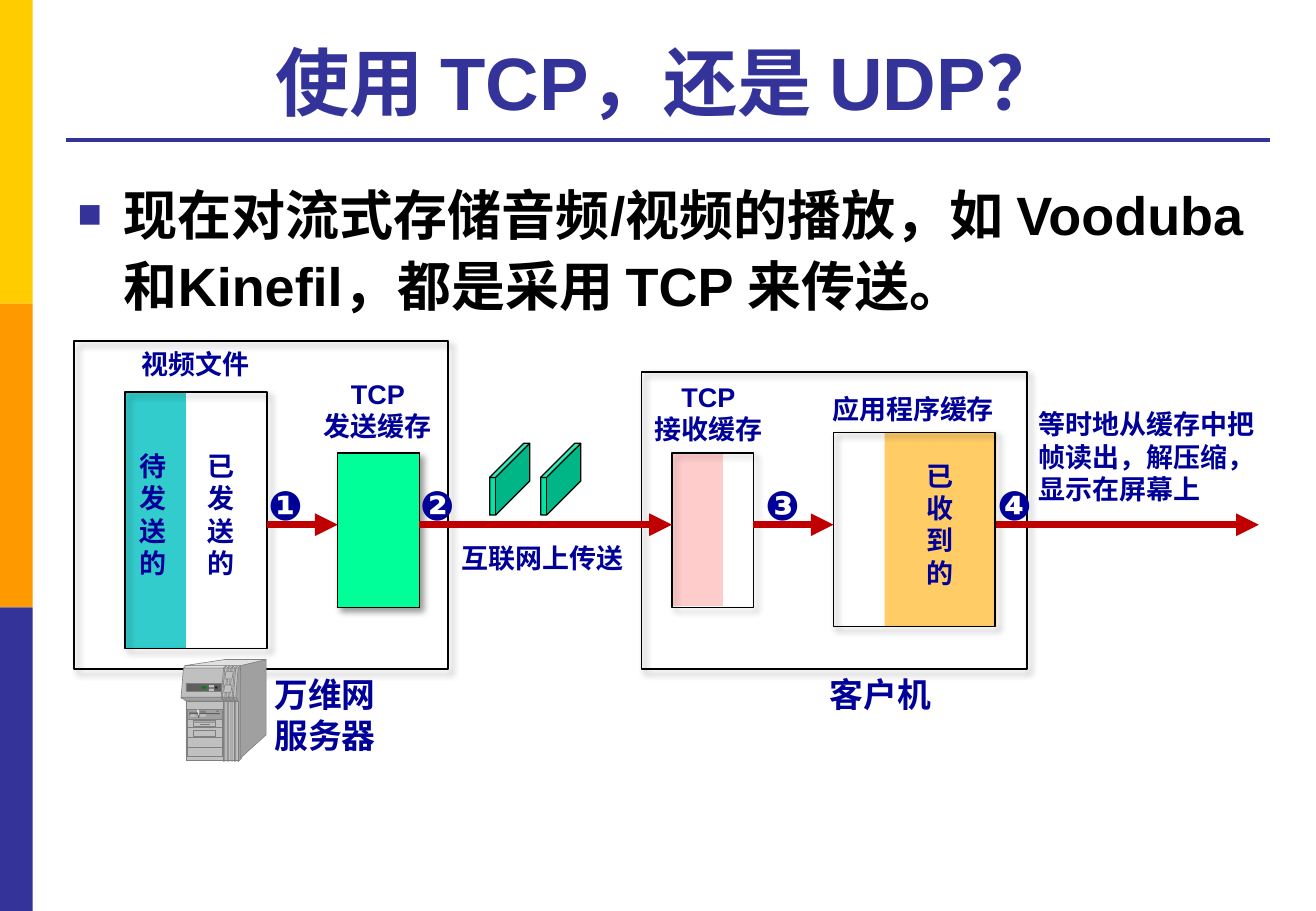
from lxml.etree import SubElement
from pptx import Presentation
from pptx.dml.color import RGBColor
from pptx.enum.shapes import MSO_CONNECTOR as Conn, MSO_SHAPE as Kind
from pptx.enum.text import MSO_ANCHOR as Anchor, MSO_AUTO_SIZE as Auto, PP_ALIGN as Align
from pptx.oxml.ns import qn
from pptx.util import Pt

PX = 9144
NAVY, BLUE, BLACK = "000099", "333399", "000000"


def emu(*vals):
    return [v * PX for v in vals]


def tint(code):
    return RGBColor.from_string(code)


def node(up, tag, **attrs):
    return SubElement(up, qn(tag), attrs)


def style(shape, fill, line, width):
    shape.shadow.inherit = False
    if fill:
        shape.fill.solid()
        shape.fill.fore_color.rgb = tint(fill)
    else:
        shape.fill.background()
    if line:
        shape.line.color.rgb = tint(line)
        shape.line.width = Pt(width)
    else:
        shape.line.fill.background()


def block(slide, box, fill=None, line=None, width=0.75, kind=Kind.RECTANGLE):
    shape = slide.shapes.add_shape(kind, *emu(*box))
    style(shape, fill, line, width)
    return shape


def frame(slide, box, fill=None, width=1):
    shape = block(slide, box, fill, BLACK, width)
    effect = shape._element.spPr.find(qn("a:effectLst"))
    cast = node(effect, "a:outerShdw", blurRad=str(Pt(4)), dist=str(Pt(3)),
                dir="2700000", algn="tl", rotWithShape="0")
    color = node(cast, "a:srgbClr", val=BLACK)
    node(color, "a:alpha", val="40000")


def outline(slide, x, y, points, fill, line, width):
    pen = slide.shapes.build_freeform(*points[0], scale=PX)
    pen.add_line_segments(points[1:], close=bool(fill))
    style(pen.convert_to_shape(*emu(x, y)), fill, line, width)


def rule(slide, x, y, end, color, width, head=False):
    line = slide.shapes.add_connector(Conn.STRAIGHT, *emu(x, y, end, y))
    line.line.color.rgb = tint(color)
    line.line.width = Pt(width)
    if head:
        node(line.line._get_or_add_ln(), "a:tailEnd", type="triangle")
    node(line._element.spPr, "a:effectLst")


def write(para, text, size, color):
    run = para.add_run()
    run.text = text
    run.font.name = "Arial"
    run.font.size = Pt(size)
    run.font.bold = True
    run.font.color.rgb = tint(color)


def label(slide, box, text, size=16, align=Align.LEFT, wrap=False):
    frame = slide.shapes.add_textbox(*emu(*box)).text_frame
    frame.word_wrap = wrap
    for i, line in enumerate(text.split("\n")):
        para = frame.add_paragraph() if i else frame.paragraphs[0]
        para.alignment = align
        write(para, line, size, NAVY)


def side(slide, box):
    x, y, w, h = box
    for i, color in enumerate(("FFCC00", "FF9900", BLUE)):
        block(slide, (x, y + i * h // 3, w, h // 3), color)


def head(slide, box):
    x, y, w, h = box
    title = slide.shapes.title
    title.left, title.top, title.width, title.height = emu(*box)
    text = title.text_frame
    text.auto_size = Auto.NONE
    text.vertical_anchor = Anchor.BOTTOM
    para = text.paragraphs[0]
    para.alignment = Align.CENTER
    write(para, "使用 TCP，还是 UDP？", 44, BLUE)
    rule(slide, x, y + h + 7, x + w, BLUE, 2.25)


def body(slide, box):
    text = slide.shapes.add_textbox(*emu(*box)).text_frame
    text.word_wrap = True
    para = text.paragraphs[0]
    props = para._p.get_or_add_pPr()
    props.set("marL", str(38 * PX))
    props.set("indent", str(-38 * PX))
    node(node(props, "a:buClr"), "a:srgbClr", val=BLUE)
    node(props, "a:buSzPct", val="75000")
    node(props, "a:buFont", typeface="Arial")
    node(props, "a:buChar", char="■")
    para.line_spacing = 1.1
    write(para, "现在对流式存储音频/视频的播放，如 Vooduba和Kinefil，都是采用 TCP 来传送。", 32, BLACK)


def sender(slide, box):
    x, y, w, h = box
    frame(slide, box)
    block(slide, (x + 42, y + 42, 50, 211), "33CCCC")
    frame(slide, (x + 42, y + 42, 117, 211))
    frame(slide, (x + 217, y + 92, 67, 127), "00FF99", 0.75)
    label(slide, (x + 45, y, 110, 37), "视频文件", align=Align.CENTER)
    label(slide, (x + 195, y + 25, 110, 64), "TCP\n发送缓存", align=Align.CENTER)
    label(slide, (x + 44, y + 84, 43, 118), "待\n发\n送\n的")
    label(slide, (x + 100, y + 84, 43, 118), "已\n发\n送\n的")
    label(slide, (x + 155, y + h - 1, 105, 77), "万维网\n服务器", 20)


def client(slide, box):
    x, y, w, h = box
    block(slide, (x + 25, y + 67, 42, 126), "FFCCCC")
    block(slide, (x + 200, y + 50, 92, 160), "FFCC66")
    frame(slide, (x + 25, y + 67, 67, 127), width=0.75)
    frame(slide, (x + 158, y + 50, 133, 160))
    frame(slide, box)
    label(slide, (x, y + 2, 110, 64), "TCP\n接收缓存", align=Align.CENTER)
    label(slide, (x + 146, y + 12, 155, 37), "应用程序缓存", align=Align.CENTER)
    label(slide, (x + 225, y + 67, 43, 118), "已\n收\n到\n的")
    label(slide, (x + 145, y + h - 1, 105, 44), "客户机", 20)


def tower(slide, x, y):
    mid, dark, pale, deep = "C0C0C0", "A0A0A0", "E0E0E0", "606060"
    gray = "808080"
    ribs = [47 - k * 3 // 2 for k in range(8)]
    parts = [
        ([(49, 5), (47, 7), (2, 7), (4, 5)], pale, True),
        ([(50, 81), (47, 84), (38, 31), (47, 7), (49, 5), (50, 34)], dark, True),
        ([(70, 0), (49, 5), (49, 81), (70, 62)], dark, True),
        ([(49, 5), (3, 5), (36, 0), (70, 0)], pale, True),
        ((4, 34, 43, 49), mid, True),
        ([(47, 7), (2, 7), (0, 32), (45, 32)], mid, True),
        ([(47, 34), (4, 34), (0, 31), (45, 31)], dark, True),
        *[([(r, 5), (r - 2, 7), (r - 4, 32), (r - 2, 34), (r - 2, 84)], None, True)
          for r in ribs],
        ((5, 41, 29, 39), mid, True),
        *[((5, 48 + 8 * k, 29, 8), mid, True) for k in range(3)],
        *[((10, 50 + 8 * k, 18, 5), mid, True) for k in range(2)],
        ([(15, 42), (15, 47), (16, 44)], deep, False),
        ((5, 41, 29, 8), dark, True),
        ((29, 42, 2, 1), deep, False),
        ([(15, 42), (20, 42), (21, 44), (16, 44)], gray, False),
        ([(7, 47), (20, 47), (21, 45), (8, 45)], mid, False),
        ([(7, 43), (15, 43), (15, 44), (8, 44)], gray, False),
        ([(7, 43), (7, 47), (8, 44)], deep, False),
        ((7, 44, 25, 1), deep, False),
        ([(13, 41), (14, 41), (15, 42), (15, 47), (14, 48), (14, 44), (13, 43)],
         "404040", False),
        ([(13, 41), (14, 41), (15, 42), (15, 44), (14, 47), (14, 44), (13, 43)],
         pale, False),
        ((11, 51, 17, 1), gray, False),
        ([(23, 54), (23, 53), (16, 53), (16, 54)], None, True),
        *[([(37 - k, 10 + 11 * k), (43 - k, 10 + 11 * k), (42 - k, 16 + 11 * k),
            (36 - k, 16 + 11 * k)], mid, True) for k in range(2)],
        ((4, 20, 29, 6), deep, True),
        *[((23, 21 + 3 * k, 4, 2), mid, False) for k in range(2)],
        ((17, 22, 4, 2), "008000", False),
    ]
    for form, fill, edge in parts:
        line = gray if edge else None
        if isinstance(form, list):
            outline(slide, x, y, form, fill, line, 0.38)
        else:
            left, top, w, h = form
            block(slide, (x + left, y + top, w, h), fill, line, 0.38)
    block(slide, (x + 12, y + 45, 2, 1), mid, gray, 0.25, Kind.OVAL)
    block(slide, (x + 28, y + 22, 2, 2), "202020", kind=Kind.OVAL)


def flow(slide, box):
    x, y, w, h = box
    for left in (183, 225):
        cube = block(slide, (x + left, y + 34, 33, 59), "00E4A8", BLACK, kind=Kind.CUBE)
        cube.adjustments[0] = 0.85
    for start, end in ((0, 58), (125, 333), (400, 466), (600, w)):
        rule(slide, x + start, y + 101, x + end, "C00000", 4.5, True)
    for left, mark in zip((-9, 116, 400, 591), "❶❷❸❹"):
        label(slide, (x + left, y + 59, 50, 50), mark, 24)
    label(slide, (x + 150, y + 110, 155, 37), "互联网上传送")
    label(slide, (x + 625, y, 217, 91), "等时地从缓存中把帧读出，解压缩，显示在屏幕上", wrap=True)


def main():
    deck = Presentation()
    deck.slide_width, deck.slide_height = emu(1083, 750)
    slide = deck.slides.add_slide(deck.slide_layouts[5])
    side(slide, (0, 0, 27, 750))
    head(slide, (54, 21, 991, 87))
    body(slide, (54, 139, 991, 532))
    sender(slide, (61, 281, 308, 270))
    tower(slide, 149, 543)
    client(slide, (528, 306, 317, 245))
    flow(slide, (220, 331, 816, 147))
    deck.save("out.pptx")


if __name__ == "__main__":
    main()
